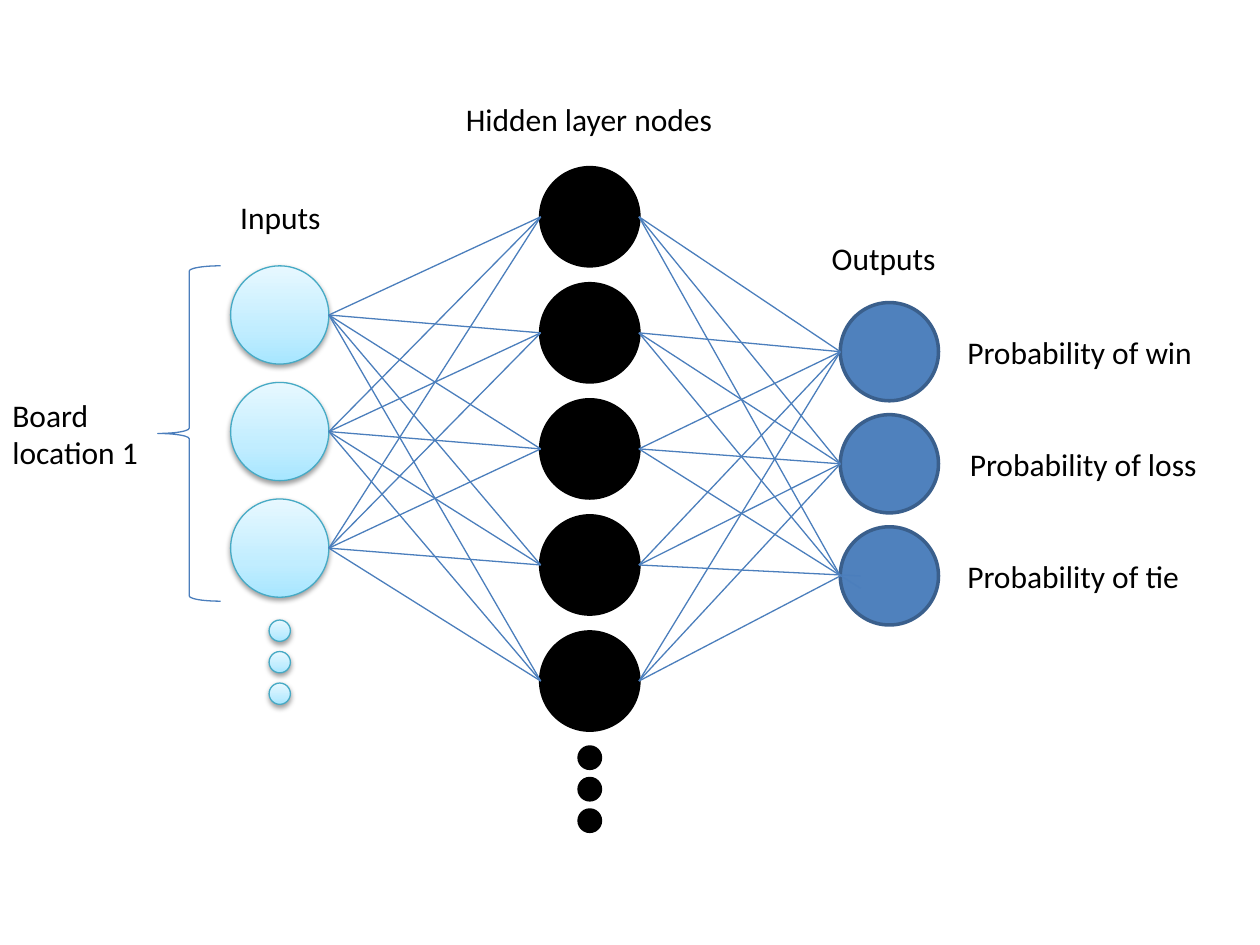
from lxml import etree
from pptx import Presentation
from pptx.dml.color import RGBColor
from pptx.enum.shapes import MSO_CONNECTOR, MSO_SHAPE
from pptx.enum.text import MSO_AUTO_SIZE, PP_ALIGN
from pptx.oxml import parse_xml
from pptx.oxml.ns import nsdecls, qn
from pptx.util import Cm, Pt

NODE, DOT, DOT_PITCH = 1.98, 0.43, 0.635
LINK = "4B7EBC"
STOPS = [(0, "A7E6FF"), (35, "C1EDFF"), (100, "E7F8FF")]

LAYERS = {
    "inputs": dict(x=4.65, y=5.36, pitch=2.35, count=3, dots=12.5,
                   fill=None, line="46AAC5", width=0.75),
    "hidden": dict(x=10.9, y=3.38, pitch=2.34, count=5, dots=15.06,
                   fill="000000", line="000000", width=2),
    "outputs": dict(x=16.94, y=6.1, pitch=2.26, count=3, dots=None,
                    fill="4F81BD", line="3A5F8C", width=2),
}
LINKS = [("inputs", "hidden"), ("hidden", "outputs")]
INNER_ENDS = {("hidden", 2, 2): (17.35, 11.86), ("hidden", 3, 2): (17.35, 11.61)}
LABELS = [
    ("Hidden layer nodes", 9.12, 1.9, 5.51, 1.03, PP_ALIGN.CENTER),
    ("Inputs", 2.9, 3.86, 5.51, 1.03, PP_ALIGN.CENTER),
    ("Outputs", 15.06, 4.7, 5.51, 1.03, PP_ALIGN.CENTER),
    ("Probability of win", 19.25, 6.58, 5.51, 1.03, PP_ALIGN.LEFT),
    ("Probability of loss", 19.3, 8.84, 5.51, 1.03, PP_ALIGN.LEFT),
    ("Probability of tie", 19.25, 11.1, 5.51, 1.03, PP_ALIGN.LEFT),
    ("Board location 1", 0, 7.85, 4.01, 1.8, PP_ALIGN.LEFT),
]
BRACE = (3.18, 5.36, 1.27, 6.76)


def rgb(value):
    return RGBColor.from_string(value)


def set_line(obj, color, width):
    obj.line.color.rgb = rgb(color)
    obj.line.width = Pt(width)


def add_glow_fill(sp):
    stops = "".join(f'<a:gs pos="{pos * 1000}"><a:srgbClr val="{color}"/></a:gs>'
                    for pos, color in STOPS)
    spPr = sp.element.spPr
    spPr.find(qn("a:ln")).addprevious(parse_xml(
        f'<a:gradFill {nsdecls("a")} rotWithShape="1"><a:gsLst>{stops}</a:gsLst>'
        '<a:lin ang="16200000" scaled="0"/></a:gradFill>'))
    spPr.find(qn("a:effectLst")).append(parse_xml(
        f'<a:outerShdw {nsdecls("a")} blurRad="{Pt(3.1)}" dist="{Pt(1.6)}" dir="5400000" '
        'rotWithShape="0"><a:srgbClr val="000000"><a:alpha val="38000"/></a:srgbClr>'
        '</a:outerShdw>'))


def add_circle(x, y, size, layer):
    sp = slide.shapes.add_shape(MSO_SHAPE.OVAL, Cm(x), Cm(y), Cm(size), Cm(size))
    sp.shadow.inherit = False
    set_line(sp, layer["line"], layer["width"])
    if layer["fill"]:
        sp.fill.solid()
        sp.fill.fore_color.rgb = rgb(layer["fill"])
    else:
        add_glow_fill(sp)


def add_label(text, x, y, w, h, align):
    tf = slide.shapes.add_textbox(Cm(x), Cm(y), Cm(w), Cm(h)).text_frame
    tf.word_wrap = True
    tf.auto_size = MSO_AUTO_SIZE.SHAPE_TO_FIT_TEXT
    p = tf.paragraphs[0]
    p.alignment = align
    r = p.add_run()
    r.text = text
    for name, value in dict(name="Calibri", size=Pt(18)).items():
        setattr(r.font, name, value)
    r.font.color.rgb = rgb("000000")


def add_link(start, end):
    line = slide.shapes.add_connector(MSO_CONNECTOR.STRAIGHT, *map(Cm, start + end))
    set_line(line, LINK, 0.75)
    etree.SubElement(line.element.spPr, qn("a:effectLst"))


def middle(layer, i):
    return layer["y"] + i * layer["pitch"] + NODE / 2


prs = Presentation()
prs.slide_width, prs.slide_height = Cm(25.4), Cm(19.05)
slide = prs.slides.add_slide(prs.slide_layouts[6])

for layer in LAYERS.values():
    for i in range(layer["count"]):
        add_circle(layer["x"], layer["y"] + i * layer["pitch"], NODE, layer)
    if layer["dots"]:
        for i in range(3):
            add_circle(layer["x"] + (NODE - DOT) / 2, layer["dots"] + i * DOT_PITCH, DOT, layer)

for label in LABELS:
    add_label(*label)

brace = slide.shapes.add_shape(MSO_SHAPE.LEFT_BRACE, *map(Cm, BRACE))
brace.shadow.inherit = False
brace.fill.background()
set_line(brace, LINK, 0.75)

for source, target in LINKS:
    a, b = LAYERS[source], LAYERS[target]
    for i in range(a["count"]):
        for j in range(b["count"]):
            end = INNER_ENDS.get((source, i, j), (b["x"], middle(b, j)))
            add_link((a["x"] + NODE, middle(a, i)), end)

prs.save("out.pptx")
